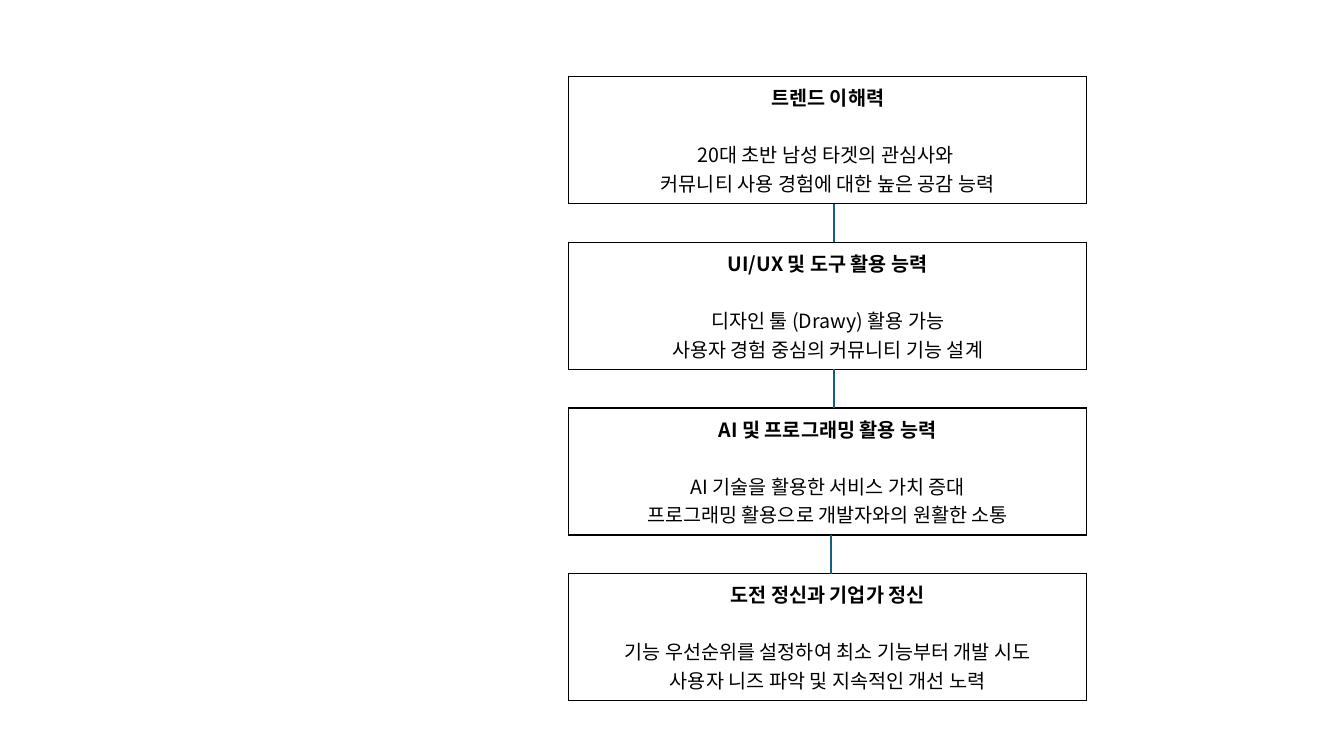
from dataclasses import dataclass

from lxml.etree import SubElement
from pptx import Presentation
from pptx.dml.color import RGBColor
from pptx.enum.shapes import MSO_CONNECTOR
from pptx.enum.text import MSO_ANCHOR, PP_ALIGN
from pptx.oxml.ns import qn
from pptx.util import Inches, Pt


@dataclass(frozen=True)
class Theme:
    font: str = "Noto Sans CJK KR"
    size: float = 14
    gap: float = 20.3
    ink: str = "000000"
    link: str = "156082"
    edge: float = 1
    stroke: float = 1.5


SKILLS = [
    ("트렌드 이해력",
     "20대 초반 남성 타겟의 관심사와 ",
     "커뮤니티 사용 경험에 대한 높은 공감 능력"),
    ("UI/UX 및 도구 활용 능력",
     "디자인 툴 (Drawy) 활용 가능",
     "사용자 경험 중심의 커뮤니티 기능 설계"),
    ("AI 및 프로그래밍 활용 능력",
     "AI 기술을 활용한 서비스 가치 증대",
     "프로그래밍 활용으로 개발자와의 원활한 소통"),
    ("도전 정신과 기업가 정신",
     "기능 우선순위를 설정하여 최소 기능부터 개발 시도",
     "사용자 니즈 파악 및 지속적인 개선 노력"),
]
LEFT, WIDTH, HEIGHT = 5.64, 5.14, 1.26
TOP, LAST = 0.76, 5.69
PITCH = (LAST - TOP) / (len(SKILLS) - 1)
LINK_X = [8.27, 8.27, 8.24]


def apply(item, values):
    for name, value in values.items():
        setattr(item, name, value)


class Deck:
    def __init__(self, theme):
        self.theme = theme
        self.file = Presentation()
        apply(self.file, {"slide_width": Inches(13.33), "slide_height": Inches(7.5)})
        self.slide = self.file.slides.add_slide(self.file.slide_layouts[6])

    def border(self, cell):
        props = cell._tc.get_or_add_tcPr()
        for side in ("a:lnL", "a:lnR", "a:lnT", "a:lnB"):
            line = SubElement(props, qn(side), w=str(Pt(self.theme.edge)))
            fill = SubElement(line, qn("a:solidFill"))
            SubElement(fill, qn("a:srgbClr"), val=self.theme.ink)

    def label(self, para, text, bold):
        para.alignment = PP_ALIGN.CENTER
        run = para.add_run()
        run.text = text
        apply(run.font, {"name": self.theme.font, "size": Pt(self.theme.size), "bold": bold})
        run.font.color.rgb = RGBColor.from_string(self.theme.ink)
        SubElement(run._r.get_or_add_rPr(), qn("a:ea"), typeface=self.theme.font)

    def card(self, top, head, *lines):
        """Add a one-cell table with a bold heading over its lines."""
        box = [Inches(n) for n in (LEFT, top, WIDTH, HEIGHT)]
        table = self.slide.shapes.add_table(1, 1, *box).table
        apply(table, {"first_row": False, "horz_banding": False})
        cell = table.cell(0, 0)
        cell.vertical_anchor = MSO_ANCHOR.MIDDLE
        self.border(cell)
        cell.fill.background()
        title = cell.text_frame.paragraphs[0]
        self.label(title, head, True)
        title.space_after = Pt(self.theme.gap)
        for line in lines:
            self.label(cell.text_frame.add_paragraph(), line, False)

    def link(self, x, start, end):
        line = self.slide.shapes.add_connector(
            MSO_CONNECTOR.STRAIGHT, Inches(x), Inches(start), Inches(x), Inches(end))
        line.line.color.rgb = RGBColor.from_string(self.theme.link)
        line.line.width = Pt(self.theme.stroke)
        SubElement(line._element.spPr, qn("a:effectLst"))


def main():
    deck = Deck(Theme())
    tops = [TOP + PITCH * i for i in range(len(SKILLS))]
    for top, skill in zip(tops, SKILLS):
        deck.card(top, *skill)
    for x, top, below in zip(LINK_X, tops, tops[1:]):
        deck.link(x, top + HEIGHT, below)
    deck.file.save("out.pptx")


if __name__ == "__main__":
    main()
